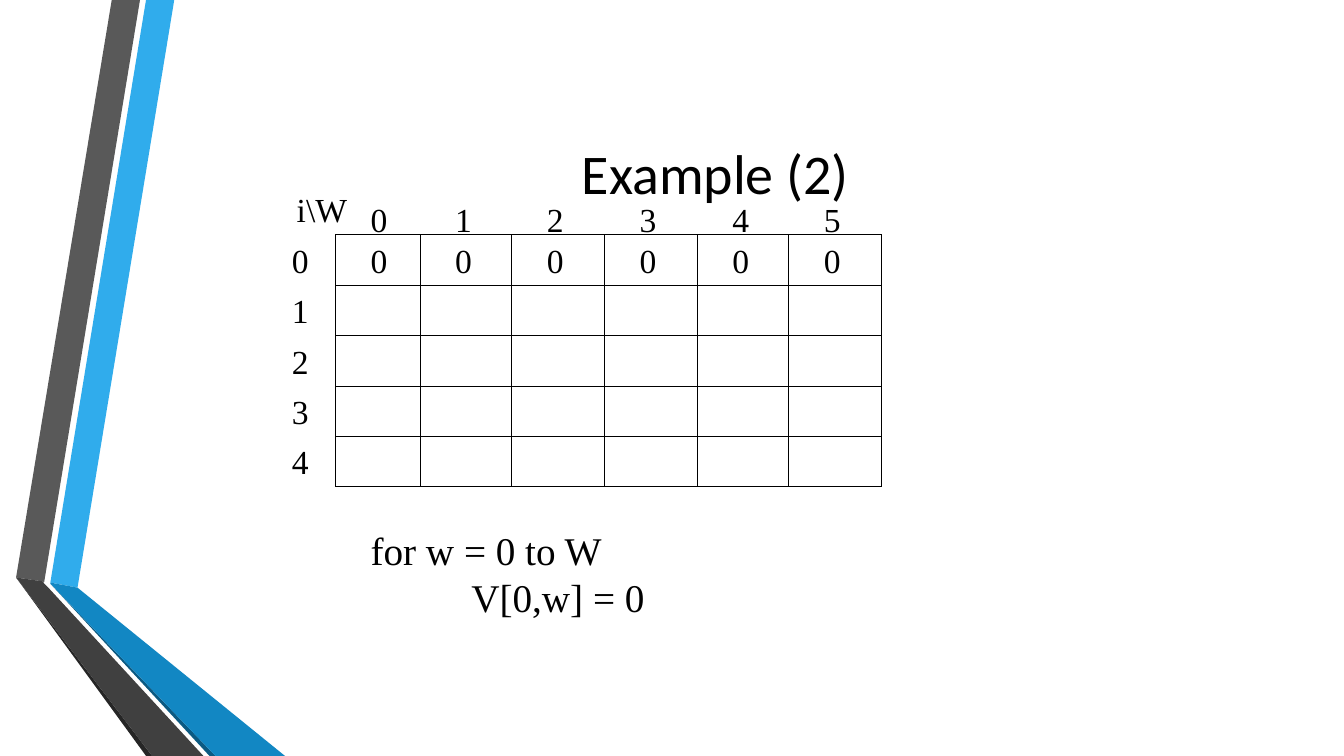
"""Build the knapsack slide "Example (2)" with its value grid and first loop."""
from lxml import etree
from pptx import Presentation
from pptx import util as u
from pptx.dml.color import RGBColor
from pptx.enum import shapes, text
from pptx.oxml.ns import qn

COLORS = {"ink": "000000", "sky": "30ACEC", "grey": "595959", "soot": "262626",
          "navy": "0C5A82", "blue": "1287C3", "slate": "404040"}
SERIF = "Times New Roman"

prs = Presentation()
prs.slide_width, prs.slide_height = u.Inches(13.34), u.Inches(7.5)
s = prs.slides.add_slide(prs.slide_layouts[6])


def add_text(lines, left, top, width, height, size=24, font=SERIF,
             align=text.PP_ALIGN.LEFT, anchor=text.MSO_ANCHOR.TOP, wrap=True):
    sp = s.shapes.add_textbox(*map(u.Inches, (left, top, width, height)))
    tf = sp.text_frame
    tf.word_wrap = wrap
    tf.vertical_anchor = anchor
    for i, (line, indent) in enumerate(lines):
        p = tf.add_paragraph() if i else tf.paragraphs[0]
        p.alignment = align
        if indent:
            p._p.get_or_add_pPr().set("marL", str(u.Inches(indent)))
        r = p.add_run()
        r.text = line
        r.font.size, r.font.name = u.Pt(size), font
        r.font.color.rgb = RGBColor.from_string(COLORS["ink"])


def add_line(x1, y1, x2, y2):
    cx = s.shapes.add_connector(shapes.MSO_CONNECTOR.STRAIGHT,
                                *map(u.Inches, (x1, y1, x2, y2)))
    cx.line.width = u.Pt(0.75)
    cx.line.color.rgb = RGBColor.from_string(COLORS["ink"])
    etree.SubElement(cx._element.spPr, qn("a:effectLst"))


ribbons = [
    ("sky", [(0.5, 5.78), (0.77, 5.83), (1.73, 0), (1.45, 0)]),
    ("grey", [(1.39, 0), (1.11, 0), (0.16, 5.73), (0.44, 5.77)]),
    ("soot", [(0.16, 5.73), (1.45, 7.5), (1.51, 7.5)]),
    ("navy", [(0.5, 5.79), (2.08, 7.5), (2.14, 7.5)]),
    ("blue", [(0.5, 5.79), (2.14, 7.5), (2.83, 7.5), (0.77, 5.83), (0.5, 5.78)]),
    ("slate", [(2.02, 7.5), (0.48, 5.83), (0.43, 5.78), (0.44, 5.77),
               (0.16, 5.73), (1.51, 7.5)]),
]
for color, points in ribbons:
    start, *rest = [(u.Inches(x), u.Inches(y)) for x, y in points]
    fb = s.shapes.build_freeform(*start)
    fb.add_line_segments(rest, close=True)
    sp = fb.convert_to_shape()
    sp.shadow.inherit = False
    sp.fill.solid()
    sp.fill.fore_color.rgb = RGBColor.from_string(COLORS[color])
    sp.line.fill.background()

add_text([("for w = 0 to W", 0), ("V[0,w] = 0", 1)], 3.58, 5.17, 3.75, 1.04, size=28)

col_edges = [3.33, 4.17, 5.08, 6, 6.92, 7.83, 8.75]
row_edges = [2.33 + 0.5 * i for i in range(6)]
for x in col_edges:
    add_line(x, row_edges[0], x, row_edges[-1])
for y in row_edges:
    add_line(col_edges[0], y, col_edges[-1], y)

for w, x in enumerate(col_edges[:-1]):
    for label, y in ((str(w), 1.92), ("0", row_edges[0])):
        add_text([(label, 0)], x + 0.25, y, 0.36, 0.5, wrap=False)
for i, y in enumerate(row_edges[:-1]):
    add_text([(str(i), 0)], 2.8, y, 0.36, 0.5, wrap=False)
add_text([(r"i\W", 0)], 2.82, 1.83, 0.75, 0.5, align=text.PP_ALIGN.CENTER)

add_text([("Example (2)", 0)], 1.62, 0.75, 10.96, 1.92, size=40, font="Calibri",
         align=text.PP_ALIGN.CENTER, anchor=text.MSO_ANCHOR.MIDDLE)

prs.save("out.pptx")
